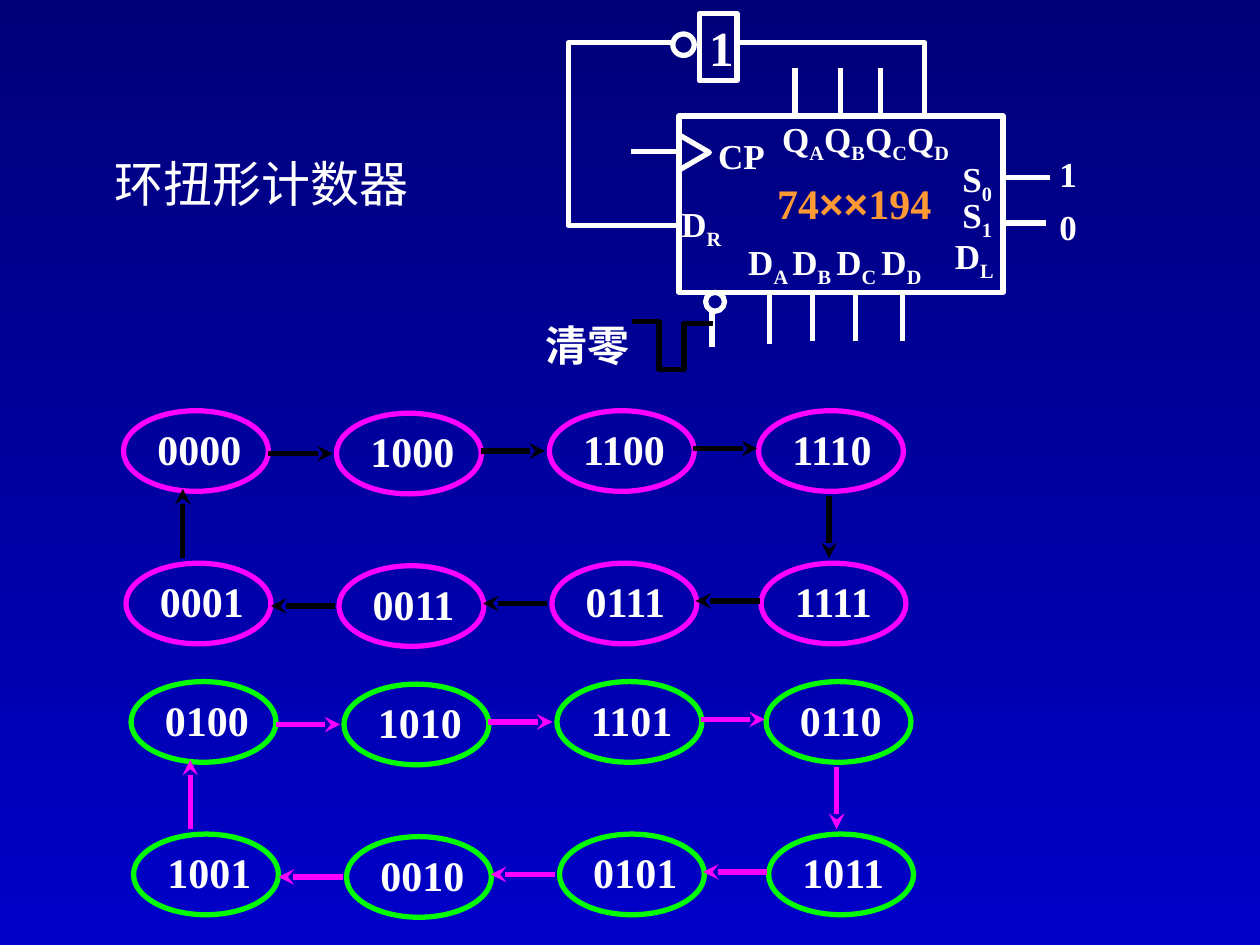
from lxml.etree import SubElement as Sub
from pptx import Presentation
from pptx.dml.color import RGBColor
from pptx.enum.shapes import MSO_CONNECTOR as Link, MSO_SHAPE as Form
from pptx.enum.text import MSO_ANCHOR as Anchor, MSO_AUTO_SIZE as Auto, PP_ALIGN as Align
from pptx.oxml.ns import qn
from pptx.util import Inches, Pt

# The slide is a grid of 1000 columns by 750 rows
CELL = Inches(10) // 1000
WHITE, BLACK, PINK, GREEN, GOLD = "FFFFFF", "000000", "FF00FF", "00FF00", "FF9933"
SERIF = "Times New Roman"


def grid(*nums):
    return [round(n * CELL) for n in nums]


def rgb(code):
    return RGBColor.from_string(code)


def pen(line, color):
    line.color.rgb = rgb(color)
    line.width = Pt(3)


def style(para, size, color, bold=True):
    para.alignment = Align.LEFT
    font = para.font
    font.name, font.size, font.bold = SERIF, Pt(size), bold
    font.color.rgb = rgb(color)


def outline(shape, color):
    shape.shadow.inherit = False
    shape.fill.background()
    pen(shape.line, color)


def shape(slide, form, box, color=WHITE, turn=0):
    item = slide.shapes.add_shape(form, *grid(*box))
    item.rotation = turn
    outline(item, color)


def wire(slide, start, end, color=WHITE, arrow=False):
    item = slide.shapes.add_connector(Link.STRAIGHT, *grid(*start, *end))
    pen(item.line, color)
    props = item._element.spPr
    if arrow:
        Sub(props.find(qn("a:ln")), qn("a:tailEnd"), type="stealth")
    Sub(props, qn("a:effectLst"))


def path(slide, points, color=WHITE):
    pen_path = slide.shapes.build_freeform(*points[0], scale=CELL)
    pen_path.add_line_segments(points[1:], close=False)
    outline(pen_path.convert_to_shape(), color)


def label(slide, box, parts, size=20, color=WHITE):
    """Write the parts; one that starts with _ is a subscript."""
    frame = slide.shapes.add_textbox(*grid(*box)).text_frame
    frame.word_wrap = True
    para = frame.paragraphs[0]
    style(para, size, color)
    for part in parts.split("|"):
        run = para.add_run()
        run.text = part.lstrip("_")
        if part.startswith("_"):
            run._r.get_or_add_rPr().set("baseline", "-25000")
        if "×" in part:
            run.font.name = "Arial"


def ring(slide, left, top, rows, rim, ink):
    """Two rows of states, joined clockwise by arrows."""
    cols = [(0, 0), (169, 2), (338, 0), (504, 0)]
    for row, codes in enumerate(rows):
        x0, y0 = left + 2 * row, top + 121 * row
        for (dx, dy), code in zip(cols, codes.split()):
            shape(slide, Form.OVAL, (x0 + dx, y0 + dy, 115, 64), rim)
            label(slide, (x0 + dx + 17, y0 + dy + 5, 98, 50), code, 24)
        for gap in range(3):
            y = y0 + 34 - 2 * gap
            ends = [(x0 + 115 + 168.5 * gap, y), (x0 + 166 + 168.5 * gap, y)]
            wire(slide, *(ends[::-1] if row else ends), ink, True)
    wire(slide, (left + 560, top + 68), (left + 560, top + 117), ink, True)
    wire(slide, (left + 47, top + 117), (left + 47, top + 62), ink, True)


def chip(slide):
    # Body, clock wedge and clear bubble
    shape(slide, Form.RECTANGLE, (539, 92, 257, 140))
    shape(slide, Form.ISOSCELES_TRIANGLE, (537, 109, 28, 24), turn=90)
    shape(slide, Form.OVAL, (560, 232, 15, 15))

    # Pin names
    for box, parts in [
        ((560, 102, 68, 44), "CP"),
        ((611, 88, 183, 48), "Q|_A|Q|_B|Q|_C|Q|_D"),
        ((531, 156, 70, 48), "D|_R"),
        ((748, 181, 59, 48), "D|_L"),
        ((754, 120, 49, 48), "S|_0"),
        ((754, 149, 53, 48), "S|_1"),
        ((584, 186, 183, 48), "D|_A |D|_B |D|_C |D|_D"),
        ((831, 116, 51, 44), "1"),
        ((831, 158, 51, 44), "0"),
    ]:
        label(slide, box, parts)
    label(slide, (607, 136, 177, 50), "74|××|194", 24, GOLD)

    # Pins
    for x, y in [(611, 234), (645, 232), (679, 232), (716, 232)]:
        wire(slide, (x, y), (x, y + 39))
    for x in (631, 667, 699):
        wire(slide, (x, 90), (x, 54))
    for x, y in [(537, 120), (833, 141), (830, 177)]:
        wire(slide, (x, y), (x - 36, y))
    wire(slide, (565, 247), (565, 275))

    # Clear pulse
    path(slide, [(502, 255), (523, 255), (523, 293), (543, 293),
                 (543, 257), (566, 257)], BLACK)
    label(slide, (423, 249, 104, 50), "清零", 24)

    # Inverter and feedback loop
    shape(slide, Form.RECTANGLE, (555, 11, 30, 53))
    shape(slide, Form.OVAL, (534, 27, 17, 17))
    path(slide, [(585, 34), (734, 34), (734, 93)])
    path(slide, [(534, 34), (451, 34), (451, 179), (538, 179)])
    label(slide, (553, 9, 40, 57), "1", 28)


def title(slide, text):
    head = slide.shapes.title
    head.left, head.top, head.width, head.height = grid(81, 121, 278, 49)
    frame = head.text_frame
    frame.text = text
    frame.auto_size = Auto.NONE
    frame.vertical_anchor = Anchor.MIDDLE
    style(frame.paragraphs[0], 28, WHITE, False)


def main():
    deck = Presentation()
    deck.slide_width, deck.slide_height = grid(1000, 750)
    slide = deck.slides.add_slide(deck.slide_layouts[5])

    # Background, darker at the top
    fill = slide.background.fill
    fill.gradient()
    fill.gradient_angle = 270
    for stop, code in zip(fill.gradient_stops, ("000078", "0000C8")):
        stop.color.rgb = rgb(code)

    title(slide, "环扭形计数器")
    ring(slide, 98, 326, ("0000 1000 1100 1110", "0001 0011 0111 1111"), PINK, BLACK)
    ring(slide, 104, 541, ("0100 1010 1101 0110", "1001 0010 0101 1011"), GREEN, PINK)
    chip(slide)
    deck.save("out.pptx")


if __name__ == "__main__":
    main()
